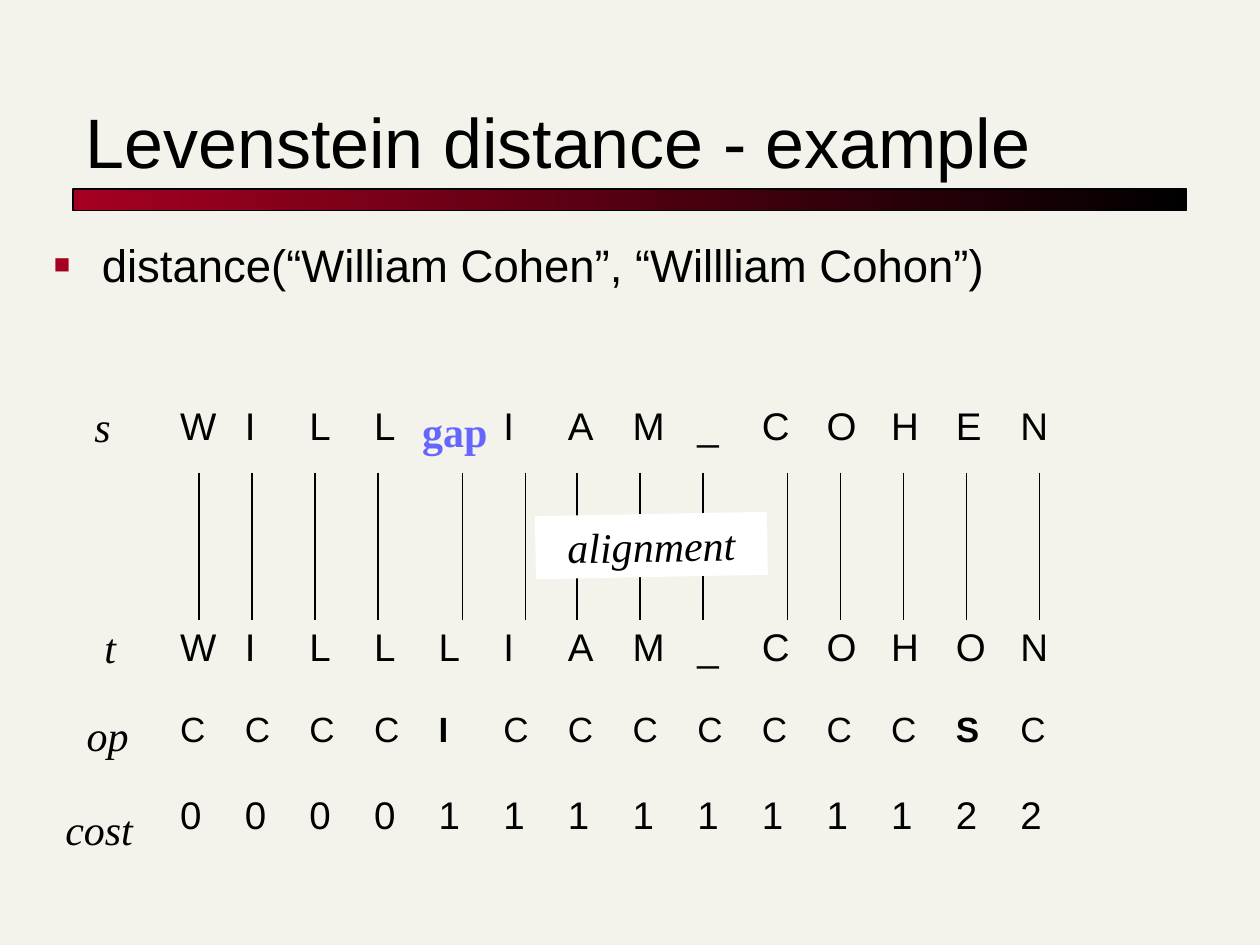
"""Build the slide with the Levenstein distance example."""
from lxml import etree
from pptx import Presentation
from pptx.dml.color import RGBColor
from pptx.enum.shapes import MSO_CONNECTOR, MSO_SHAPE
from pptx.enum.text import MSO_ANCHOR, MSO_AUTO_SIZE, PP_ALIGN
from pptx.oxml.ns import qn
from pptx.util import Inches, Pt

RECTANGLE = MSO_SHAPE.RECTANGLE
STRAIGHT = MSO_CONNECTOR.STRAIGHT
TOP, BOTTOM = MSO_ANCHOR.TOP, MSO_ANCHOR.BOTTOM
LEFT, CENTER, RIGHT = PP_ALIGN.LEFT, PP_ALIGN.CENTER, PP_ALIGN.RIGHT
FIT_SHAPE = MSO_AUTO_SIZE.SHAPE_TO_FIT_TEXT
NO_GRID_STYLE = "{2D5ABB26-0587-4C30-8999-92F81FD0307C}"

ALIGNMENT_ROWS = ["WILL IAM_COHEN", "", "WILLLIAM_COHON", "CCCCICCCCCCCSC", "00001111111122"]
ROW_HEIGHTS = [0.58, 1.17, 0.67, 0.67, 0.75]
OPERATION_ROW = 3
LETTER_COUNT = 14
TABLE_WIDTH, LAST_COLUMN = 7.92, 1.25
LINE_POSITIONS = [1.58, 2, 2.5, 3, 3.67, 4.17, 4.58, 5.08, 5.58, 6.25, 6.67, 7.17, 7.67, 8.25]
ROW_LABELS = [
    ("s", 0.65, 3.13, 0.33, LEFT),
    ("t", 0.73, 4.88, 0.29, LEFT),
    ("op", 0.58, 5.58, 0.54, RIGHT),
    ("cost", 0.42, 6.33, 0.77, LEFT),
]


def color(value):
    """Turn a hex string into a colour."""
    return RGBColor.from_string(value)


def write_text(frame, text, size=24, font="Arial", fill="000000", bold=False, italic=False, align=LEFT):
    """Write one formatted paragraph into a text frame."""
    paragraph = frame.paragraphs[0]
    paragraph.alignment = align
    run = paragraph.add_run()
    run.text = text
    run.font.size = Pt(size)
    run.font.name = font
    run.font.bold = bold
    run.font.italic = italic
    run.font.color.rgb = color(fill)


class SlideBuilder:
    """Hold the style and the current slide."""

    accent = "A50021"
    black = "000000"
    serif = "Times New Roman"

    def __init__(self, presentation, background):
        """Add a blank slide with a plain background."""
        self.slide = presentation.slides.add_slide(presentation.slide_layouts[6])
        self.slide.background.fill.solid()
        self.slide.background.fill.fore_color.rgb = color(background)

    def text_box(self, text, left, top, width, height, anchor=TOP, wrap=True, **style):
        """Add a text box and return its text frame."""
        box = self.slide.shapes.add_textbox(Inches(left), Inches(top), Inches(width), Inches(height))
        frame = box.text_frame
        frame.word_wrap = wrap
        frame.vertical_anchor = anchor
        if not wrap:
            frame.auto_size = FIT_SHAPE
        write_text(frame, text, **style)
        return frame

    def bullet_text(self, text, left, top, width, height, **style):
        """Add a text box with a square bullet."""
        frame = self.text_box(text, left, top, width, height, **style)
        properties = frame.paragraphs[0]._p.get_or_add_pPr()
        properties.set("marL", str(Inches(0.38)))
        properties.set("indent", str(-Inches(0.38)))
        bullet_color = etree.SubElement(properties, qn("a:buClr"))
        etree.SubElement(bullet_color, qn("a:srgbClr"), val=self.accent)
        etree.SubElement(properties, qn("a:buSzPct"), val="60000")
        etree.SubElement(properties, qn("a:buFont"), typeface="Arial")
        etree.SubElement(properties, qn("a:buChar"), char="■")

    def rectangle(self, left, top, width, height):
        """Add a rectangle without shadow."""
        shape = self.slide.shapes.add_shape(
            RECTANGLE, Inches(left), Inches(top), Inches(width), Inches(height))
        shape.shadow.inherit = False
        return shape

    def gradient_bar(self, left, top, width, height):
        """Add a bar that fades from the accent colour to black."""
        bar = self.rectangle(left, top, width, height)
        bar.fill.gradient()
        bar.fill.gradient_angle = 0
        for stop, value in zip(bar.fill.gradient_stops, (self.accent, self.black)):
            stop.color.rgb = color(value)
        bar.line.color.rgb = color(self.black)
        bar.line.width = Pt(0.75)

    def tilted_label(self, text, left, top, width, height, rotation):
        """Add a white label, slightly turned."""
        label = self.rectangle(left, top, width, height)
        label.rotation = rotation
        label.fill.solid()
        label.fill.fore_color.rgb = color("FFFFFF")
        label.line.fill.background()
        label.text_frame.word_wrap = True
        label.text_frame.vertical_anchor = TOP
        write_text(label.text_frame, text, font=self.serif, italic=True, align=CENTER)

    def vertical_line(self, x, top, bottom):
        """Add a thin vertical line."""
        line = self.slide.shapes.add_connector(
            STRAIGHT, Inches(x), Inches(top), Inches(x), Inches(bottom))
        line.line.color.rgb = color(self.black)
        line.line.width = Pt(0.75)
        etree.SubElement(line._element.spPr, qn("a:effectLst"))

    def letter_table(self, left, top):
        """Add the table of letters, operations and costs."""
        table = self.slide.shapes.add_table(
            len(ALIGNMENT_ROWS), LETTER_COUNT, Inches(left), Inches(top),
            Inches(TABLE_WIDTH), Inches(sum(ROW_HEIGHTS))).table
        table.first_row = table.horz_banding = False
        table._tbl.tblPr.find(qn("a:tableStyleId")).text = NO_GRID_STYLE
        for column in table.columns:
            column.width = Inches((TABLE_WIDTH - LAST_COLUMN) / (LETTER_COUNT - 1))
        table.columns[LETTER_COUNT - 1].width = Inches(LAST_COLUMN)
        for row, (letters, height) in enumerate(zip(ALIGNMENT_ROWS, ROW_HEIGHTS)):
            table.rows[row].height = Inches(height)
            is_operation = row == OPERATION_ROW
            for column, letter in enumerate(letters.ljust(LETTER_COUNT)):
                cell = table.cell(row, column)
                cell.fill.background()
                if letter != " ":
                    write_text(cell.text_frame, letter, size=20 if is_operation else 22,
                               bold=is_operation and letter != "C")


def main():
    """Build and save the presentation."""
    presentation = Presentation()
    presentation.slide_width, presentation.slide_height = Inches(10), Inches(7.5)
    builder = SlideBuilder(presentation, "F4F3EB")
    builder.gradient_bar(0.58, 1.5, 8.84, 0.17)
    builder.text_box("Levenstein distance - example", 0.58, 0.42, 8.83, 1.08, anchor=BOTTOM, size=40)
    builder.bullet_text("distance(“William Cohen”, “Willliam Cohon”)", 0.33, 1.83, 9.33, 0.92, size=26)
    builder.letter_table(1.33, 3.17)
    for x in LINE_POSITIONS:
        builder.vertical_line(x, 3.75, 4.92)
    for text, left, top, width, align in ROW_LABELS:
        builder.text_box(text, left, top, width, 0.5, wrap=False,
                         font=builder.serif, italic=True, align=align)
    builder.tilted_label("alignment", 4.25, 4.08, 1.84, 0.5, 358.9)
    builder.text_box("gap", 3.25, 3.17, 0.72, 0.5, wrap=False,
                     font=builder.serif, fill="6666FF", bold=True, align=CENTER)
    presentation.save("out.pptx")


if __name__ == "__main__":
    main()
